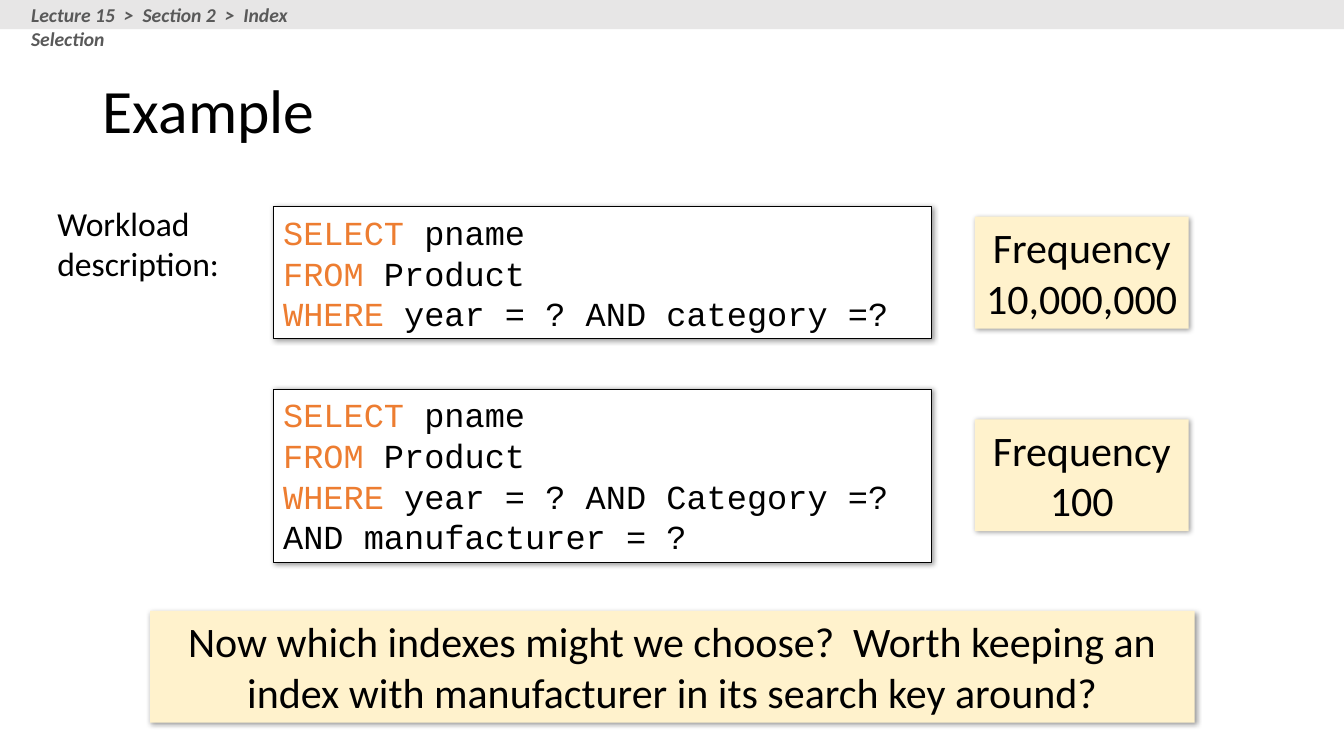
from dataclasses import dataclass
from lxml.etree import SubElement
from pptx import Presentation
from pptx.dml.color import RGBColor
from pptx.enum.shapes import MSO_SHAPE
from pptx.enum.text import MSO_ANCHOR, PP_ALIGN
from pptx.oxml.ns import qn
from pptx.util import Inches, Pt

COLORS = {
    "black": "000000",
    "white": "FFFFFF",
    "keyword": "ED7D31",
    "callout": "FFF2CC",
    "bar": "E7E6E6",
    "crumb": "595959",
}


@dataclass
class Box:
    left: float
    top: float
    width: float
    height: float


@dataclass
class Query:
    box: Box
    lines: list[tuple[str, str]]


@dataclass
class Callout:
    box: Box
    lines: list[str]


def rgb(name: str) -> RGBColor:
    return RGBColor.from_string(COLORS[name])


def inches(box: Box) -> list[int]:
    return [Inches(v) for v in (box.left, box.top, box.width, box.height)]


def add_run(p, text: str, size: float, color: str = "black", font: str = "Calibri"):
    r = p.add_run()
    r.text = text
    r.font.size = Pt(size)
    r.font.name = font
    r.font.color.rgb = rgb(color)
    return r


def add_rect(shapes, box: Box, fill: str):
    sp = shapes.add_shape(MSO_SHAPE.RECTANGLE, *inches(box))
    sp.shadow.inherit = False
    sp.fill.solid()
    sp.fill.fore_color.rgb = rgb(fill)
    sp.line.fill.background()
    sp.text_frame.word_wrap = True
    sp.text_frame.vertical_anchor = MSO_ANCHOR.TOP
    return sp


def add_shadow(sp) -> None:
    effects = sp._element.spPr.find(qn("a:effectLst"))
    shadow = SubElement(effects, qn("a:outerShdw"), blurRad="50800", dist="12700",
                        dir="2700000", algn="tl", rotWithShape="0")
    color = SubElement(shadow, qn("a:srgbClr"), val=COLORS["black"])
    SubElement(color, qn("a:alpha"), val="40000")


def add_text(shapes, box: Box):
    tf = shapes.add_textbox(*inches(box)).text_frame
    tf.word_wrap = True
    return tf.paragraphs[0]


def add_query(shapes, query: Query) -> None:
    sp = add_rect(shapes, query.box, "white")
    add_shadow(sp)
    sp.line.color.rgb = rgb("black")
    sp.line.width = Pt(0.75)
    tf = sp.text_frame
    for i, (keyword, rest) in enumerate(query.lines):
        p = tf.paragraphs[0] if i == 0 else tf.add_paragraph()
        p.alignment = PP_ALIGN.LEFT
        p.line_spacing = Pt(29)
        if keyword:
            add_run(p, keyword, 24, "keyword", "Courier New")
        add_run(p, rest, 24, font="Courier New")


def add_callout(shapes, callout: Callout) -> None:
    sp = add_rect(shapes, callout.box, "callout")
    add_shadow(sp)
    p = sp.text_frame.paragraphs[0]
    p.alignment = PP_ALIGN.CENTER
    for i, line in enumerate(callout.lines):
        if i:
            p.add_line_break()
        add_run(p, line, 30)


SELECT_FROM = [("SELECT", " pname"), ("FROM", " Product")]
QUERIES = [
    Query(Box(2.71, 3.86, 6.53, 1.72),
          SELECT_FROM + [("WHERE", " year = ? AND Category =?"),
                         ("", "AND manufacturer = ?")]),
    Query(Box(2.71, 2.05, 6.53, 1.31),
          SELECT_FROM + [("WHERE", " year = ? AND category =?")]),
]
CALLOUTS = [
    Callout(Box(9.67, 2.15, 2.12, 1.11), ["Frequency", "10,000,000"]),
    Callout(Box(9.67, 4.16, 2.12, 1.11), ["Frequency", "100"]),
    Callout(Box(1.49, 6.06, 10.36, 1.11),
            ["Now which indexes might we choose?  Worth keeping an index "
             "with manufacturer in its search key around?"]),
]


def main() -> None:
    prs = Presentation()
    prs.slide_width, prs.slide_height = Inches(13.33), Inches(7.5)
    s = prs.slides.add_slide(prs.slide_layouts[5])

    title = s.shapes.title
    title.left, title.top, title.width, title.height = inches(Box(0.92, 0.4, 11.5, 1.45))
    title.text_frame.vertical_anchor = MSO_ANCHOR.MIDDLE
    p = title.text_frame.paragraphs[0]
    p.alignment = PP_ALIGN.LEFT
    p.line_spacing = 0.9
    add_run(p, "Example", 44)

    for query in QUERIES:
        add_query(s.shapes, query)
    for callout in CALLOUTS:
        add_callout(s.shapes, callout)

    p = add_text(s.shapes, Box(0.47, 1.96, 1.9, 0.91))
    add_run(p, "Workload description:", 24)

    header = s.shapes.add_group_shape().shapes
    add_rect(header, Box(0, 0, 13.33, 0.29), "bar")
    p = add_text(header, Box(0.21, -0.02, 3.46, 0.34))
    r = add_run(p, "Lecture 15  >  Section 2  >  Index Selection", 14, "crumb")
    r.font.bold = r.font.italic = True

    prs.save("out.pptx")


if __name__ == "__main__":
    main()
